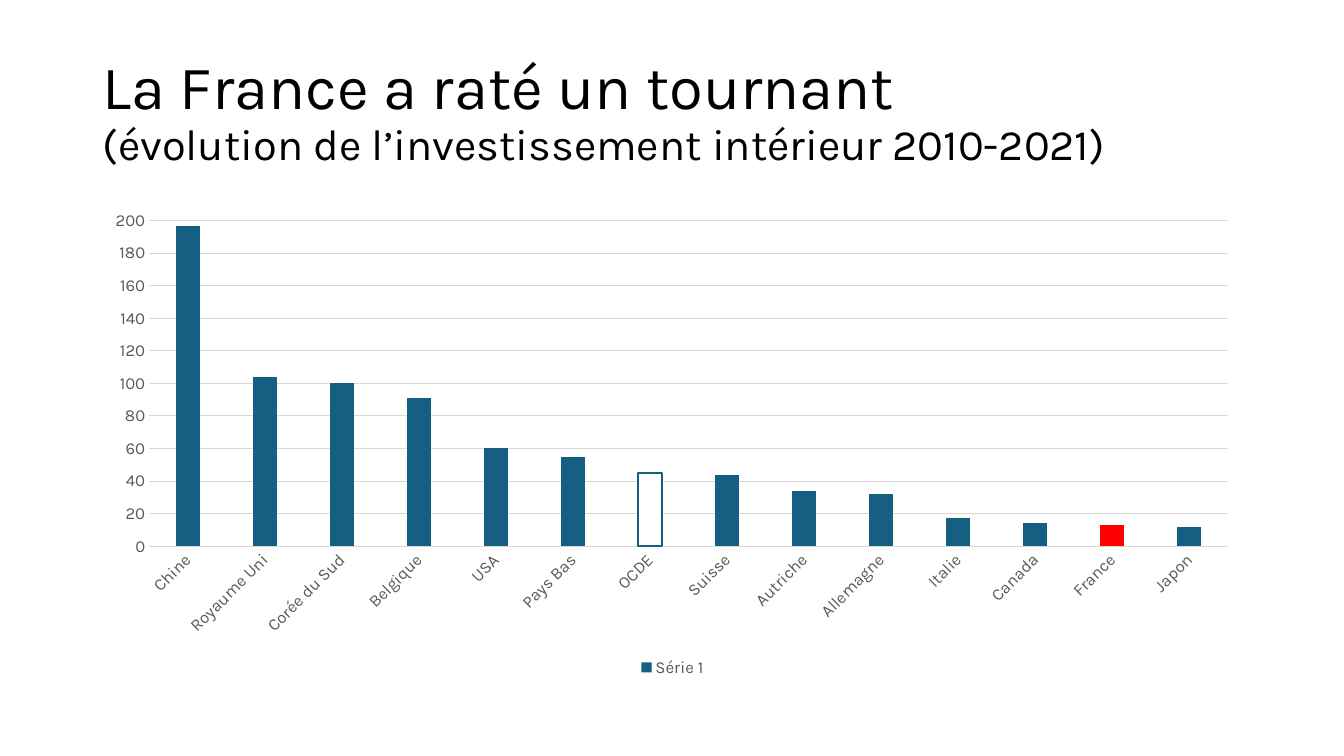
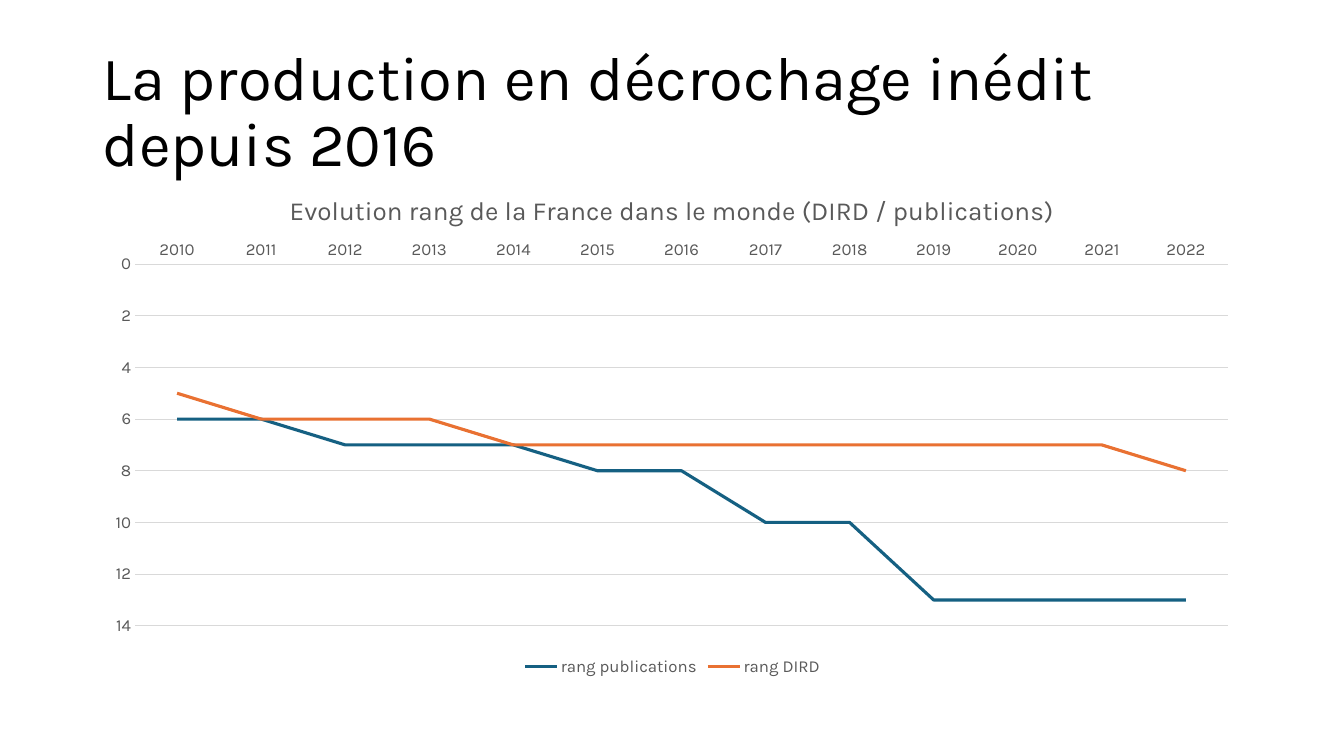
from pptx import Presentation
from pptx.chart.data import CategoryChartData
from pptx.dml.color import RGBColor
from pptx.enum.chart import XL_CHART_TYPE as ChartType, XL_LEGEND_POSITION as LegendPosition
from pptx.enum.chart import XL_MARKER_STYLE as MarkerStyle, XL_TICK_MARK as TickMark
from pptx.enum.text import MSO_ANCHOR as Anchor
from pptx.oxml import parse_xml
from pptx.oxml.ns import nsdecls, qn
from pptx.util import Inches, Pt

COLORS = {
    "title": "000000",
    "label": "595959",
    "grid": "D9D9D9",
    "blue": "156082",
    "orange": "E97132",
    "red": "FF0000",
    "white": "FFFFFF",
}


class Deck:
    """Holds the shared style and the current slide."""

    font_name = "Karla"
    left, width = 0.92, 11.5

    def __init__(self):
        self.presentation = Presentation()
        self.presentation.slide_width = Inches(13.33)
        self.presentation.slide_height = Inches(7.5)
        self.slide = None

    def color(self, name):
        return RGBColor.from_string(COLORS[name])

    def style(self, font, size, color):
        font.name = self.font_name
        font.size = Pt(size)
        font.bold = False
        font.color.rgb = self.color(color)

    def outline(self, line, color, width):
        line.color.rgb = self.color(color)
        line.width = Pt(width)

    def add_slide(self):
        self.slide = self.presentation.slides.add_slide(self.presentation.slide_layouts[6])

    def add_title(self, text, sizes=(44,)):
        box = self.slide.shapes.add_textbox(
            Inches(self.left), Inches(0.4), Inches(self.width), Inches(1.45))
        frame = box.text_frame
        frame.word_wrap = True
        frame.vertical_anchor = Anchor.MIDDLE
        paragraph = frame.paragraphs[0]
        paragraph.text = text
        paragraph.line_spacing = 0.9
        for run, size in zip(paragraph.runs, sizes):
            self.style(run.font, size, "title")

    def add_chart(self, kind, categories, series, top, height, plot):
        data = CategoryChartData()
        data.categories = categories
        for name, values in series:
            data.add_series(name, values)
        chart = self.slide.shapes.add_chart(
            kind, Inches(self.left), Inches(top), Inches(self.width), Inches(height), data).chart
        self.style(chart.font, 10, "title")
        chart.has_title = False
        chart.has_legend = True
        chart.legend.position = LegendPosition.BOTTOM
        chart.legend.include_in_layout = False
        self.style(chart.legend.font, 12, "label")
        for axis in (chart.category_axis, chart.value_axis):
            axis.major_tick_mark = axis.minor_tick_mark = TickMark.NONE
            self.style(axis.tick_labels.font, 12, "label")
        self.outline(chart.category_axis.format.line, "grid", 0.75)
        chart.value_axis.format.line.fill.background()
        self.outline(chart.value_axis.major_gridlines.format.line, "grid", 0.75)
        chart.plots[0].vary_by_categories = False
        self.place_plot(chart, top, height, plot)
        return chart

    def place_plot(self, chart, top, height, plot):
        x, y, w, h = plot
        parts = (("x", (x - self.left) / self.width), ("y", (y - top) / height),
                 ("w", w / self.width), ("h", h / height))
        modes = "".join(f'<c:{name}Mode val="edge"/>' for name in "xy")
        sizes = "".join(f'<c:{name} val="{value:.4f}"/>' for name, value in parts)
        layout = parse_xml(
            f'<c:layout {nsdecls("c")}><c:manualLayout><c:layoutTarget val="inner"/>'
            f'{modes}{sizes}</c:manualLayout></c:layout>')
        plot_area = next(chart.element.iter(qn("c:plotArea")))
        for old in plot_area.findall(qn("c:layout")):
            plot_area.remove(old)
        plot_area.insert(0, layout)

    def add_columns(self, categories, series, highlights):
        chart = self.add_chart(ChartType.COLUMN_CLUSTERED, categories, [series],
                               2, 4.76, (1.48, 2.19, 10.7, 3.23))
        chart.value_axis.minimum_scale = 0
        chart.value_axis.maximum_scale = 200
        chart.value_axis.major_unit = 20
        labels = chart.category_axis.tick_labels.font
        self.style(labels, 12, "label")
        text_body = next(chart.element.iter(qn("c:catAx"))).find(qn("c:txPr"))
        text_body.find(qn("a:bodyPr")).set("rot", "-2700000")
        plot = chart.plots[0]
        plot.gap_width, plot.overlap = 219, -27
        columns = plot.series[0]
        columns.invert_if_negative = False
        columns.format.fill.solid()
        columns.format.fill.fore_color.rgb = self.color("blue")
        for category, (fill, line) in highlights.items():
            point = columns.points[categories.index(category)].format
            point.fill.solid()
            point.fill.fore_color.rgb = self.color(fill)
            if line:
                self.outline(point.line, line, 1.5)

    def add_lines(self, title, categories, series, colors):
        chart = self.add_chart(ChartType.LINE, categories, series,
                               1.72, 5.03, (1.34, 2.62, 10.84, 3.59))
        chart.has_title = True
        paragraph = chart.chart_title.text_frame.paragraphs[0]
        paragraph.text = title
        self.style(paragraph.runs[0].font, 18.6, "label")
        chart.chart_title.include_in_layout = False
        axis = chart.value_axis
        axis.reverse_order = True
        axis.minimum_scale, axis.maximum_scale, axis.major_unit = 0, 14, 2
        for line, color in zip(chart.plots[0].series, colors):
            line.smooth = False
            line.marker.style = MarkerStyle.NONE
            self.outline(line.format.line, color, 2.25)

    def save(self):
        self.presentation.save("out.pptx")


def main():
    deck = Deck()

    deck.add_slide()
    deck.add_title("La France a raté un tournant\v"
                   "(évolution de l’investissement intérieur 2010-2021)", (44, 31))
    investment = {
        "Chine": 197, "Royaume Uni": 104, "Corée du Sud": 100, "Belgique": 91, "USA": 60,
        "Pays Bas": 55, "OCDE": 45, "Suisse": 44, "Autriche": 34, "Allemagne": 32,
        "Italie": 17, "Canada": 14, "France": 13, "Japon": 12,
    }
    deck.add_columns(list(investment), ("Série 1", list(investment.values())),
                     {"OCDE": ("white", "blue"), "France": ("red", None)})

    deck.add_slide()
    deck.add_title("La production en décrochage inédit depuis 2016")
    deck.add_lines(
        "Evolution rang de la France dans le monde (DIRD / publications)",
        [str(year) for year in range(2010, 2023)],
        [("rang publications", [6, 6, 7, 7, 7, 8, 8, 10, 10, 13, 13, 13, 13]),
         ("rang DIRD", [5, 6, 6, 6, 7, 7, 7, 7, 7, 7, 7, 7, 8])],
        ["blue", "orange"])

    deck.save()


if __name__ == "__main__":
    main()
